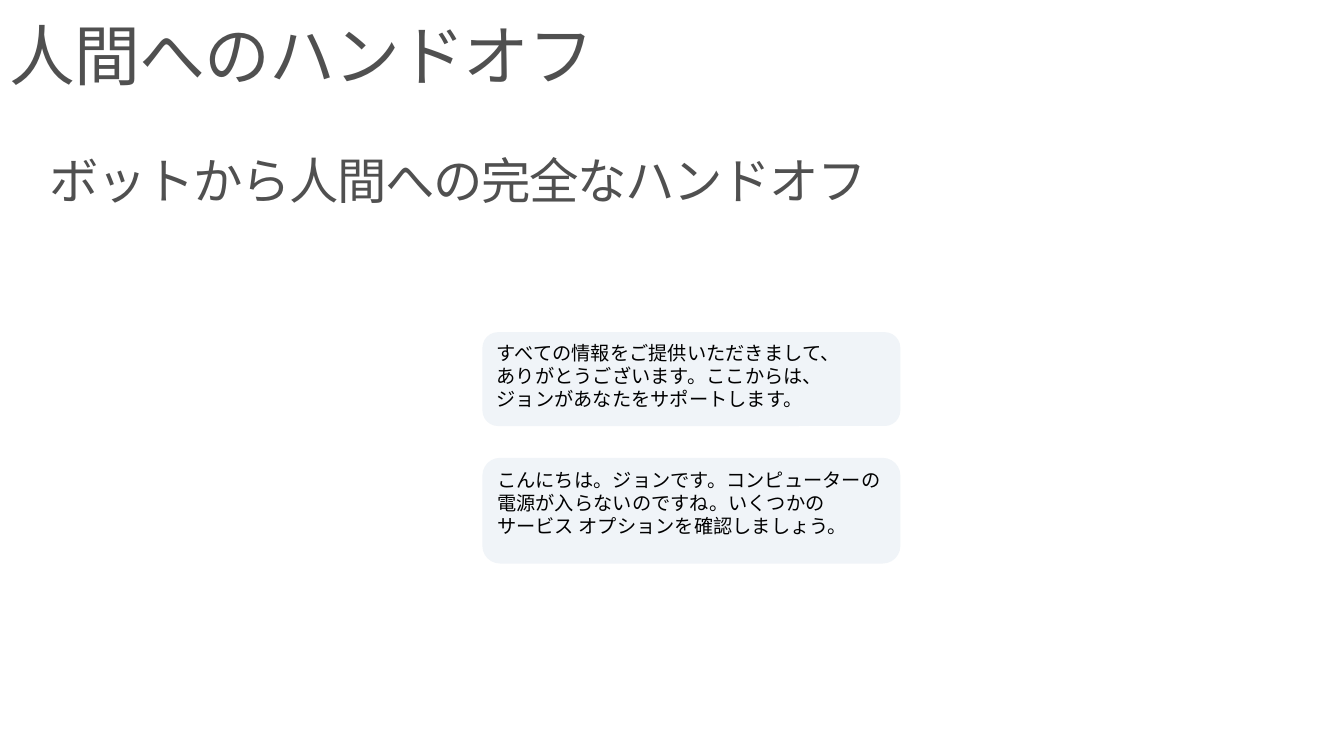
from pptx import Presentation
from pptx.dml.color import RGBColor
from pptx.enum.shapes import MSO_SHAPE as SHAPE
from pptx.enum.text import MSO_ANCHOR as ANCHOR, PP_ALIGN as ALIGN
from pptx.oxml.ns import qn
from pptx.util import Pt
from lxml import etree

FONT = "Noto Sans CJK JP"
HEADING_GRAY = RGBColor(0x50, 0x50, 0x50)
BUBBLE_FILL = RGBColor(0xF0, 0xF4, 0xF8)
BLACK = RGBColor(0, 0, 0)


def write(tf, text, size, color, line_height, tracking=0):
    """Fill a text frame with one left-aligned paragraph."""
    tf.word_wrap = True
    tf.vertical_anchor = ANCHOR.TOP
    tf.text = text
    p = tf.paragraphs[0]
    p.alignment = ALIGN.LEFT
    p.line_spacing = Pt(line_height)
    for r in p.runs:
        r.font.name = FONT
        r.font.size = Pt(size)
        r.font.color.rgb = color
        rPr = r.font._element
        etree.SubElement(rPr, qn("a:ea")).set("typeface", FONT)
        if tracking:
            rPr.set("spc", str(round(tracking * 100)))


def add_heading(s, box, text, size, line_height, tracking, side_inset):
    tf = s.shapes.add_textbox(*map(Pt, box)).text_frame
    tf.margin_left = tf.margin_right = Pt(side_inset)
    tf.margin_top = tf.margin_bottom = Pt(7.2)
    write(tf, text, size, HEADING_GRAY, line_height, tracking)


def add_bubble(s, box, text):
    sp = s.shapes.add_shape(SHAPE.ROUNDED_RECTANGLE, *map(Pt, box))
    sp.shadow.inherit = False
    sp.fill.solid()
    sp.fill.fore_color.rgb = BUBBLE_FILL
    sp.line.fill.background()
    write(sp.text_frame, text, 14, BLACK, 16.8)


def add_chat(s, left, top, width, gap, messages):
    """Stack the chat bubbles downwards from the top."""
    for height, text in messages:
        add_bubble(s, (left, top, width, height), text)
        top += height + gap


def main():
    prs = Presentation()
    prs.slide_width, prs.slide_height = Pt(979.2), Pt(550.8)
    s = prs.slides.add_slide(prs.slide_layouts[6])

    # Title and subtitle
    add_heading(s, (0, 5, 936, 72), "人間へのハンドオフ", 48, 56, -0.7, 7.2)
    add_heading(s, (24.5, 103.7, 758.9, 203.8),
                "ボットから人間への完全なハンドオフ", 36, 42, -1, 11.5)

    # Chat messages: height and text, \v is a line break
    add_chat(s, 351.5, 242, 304.5, 23.2, [
        (68.4, "すべての情報をご提供いただきまして、\v"
               "ありがとうございます。ここからは、\v"
               "ジョンがあなたをサポートします。"),
        (77, "こんにちは。ジョンです。コンピューターの電源が入らないのですね。いくつかの\v"
             "サービス オプションを確認しましょう。"),
    ])
    prs.save("out.pptx")


if __name__ == "__main__":
    main()
